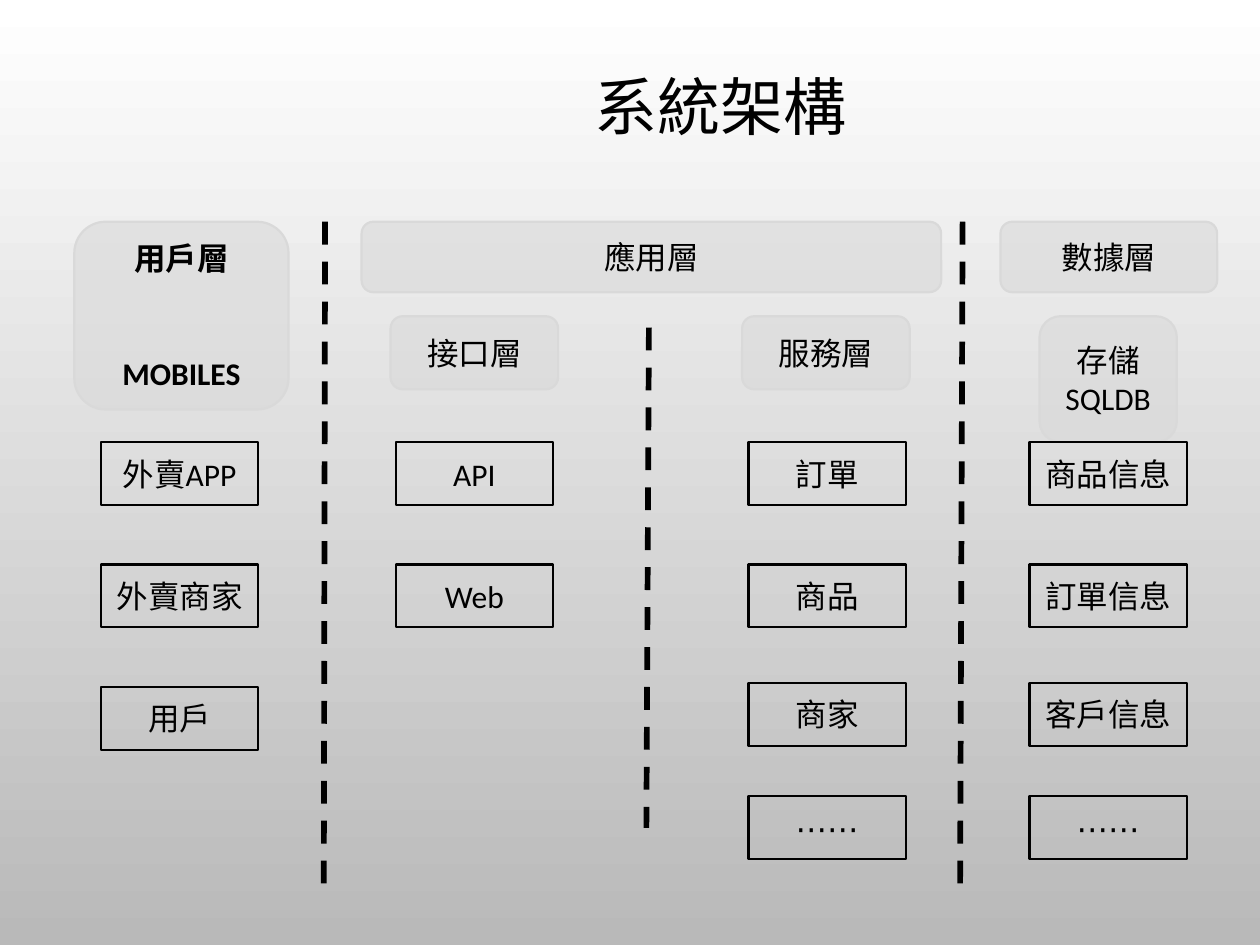
from lxml.etree import SubElement
from pptx import Presentation
from pptx.dml.color import RGBColor as RGB
from pptx.enum.dml import MSO_LINE as Dash
from pptx.enum.shapes import MSO_CONNECTOR as Link, MSO_SHAPE as Form
from pptx.enum.text import MSO_ANCHOR as Anchor, PP_ALIGN as Align
from pptx.oxml.ns import qn
from pptx.util import Inches, Pt

# Content
TITLE = "系統架構"
HEADS = [  # lines, left, top, width, height, bold, gap between lines in points
    (["用戶層", "MOBILES"], 0.59, 1.76, 1.7, 1.49, True, 44),
    (["應用層"], 2.87, 1.76, 4.6, 0.56, False, 0),
    (["接口層"], 3.1, 2.51, 1.33, 0.58, False, 0),
    (["服務層"], 5.89, 2.51, 1.33, 0.58, False, 0),
    (["數據層"], 7.94, 1.76, 1.72, 0.56, False, 0),
    (["存儲", "SQLDB"], 8.25, 2.51, 1.09, 1, False, 0),
]
EVEN = (3.51, 4.48, 5.45)
TIGHT = (3.51, 4.48, 5.42, 6.32)
COLS = [  # left, row tops, items
    (0.8, EVEN, ["外賣APP", "外賣商家", "用戶"]),
    (3.14, EVEN, ["API", "Web"]),
    (5.94, TIGHT, ["訂單", "商品", "商家", "⋯⋯"]),
    (8.17, TIGHT, ["商品信息", "訂單信息", "客戶信息", "⋯⋯"]),
]
RULES = [  # x at top, top, x at bottom, bottom
    (2.58, 1.76, 2.57, 7.1),
    (5.15, 2.6, 5.13, 6.57),
    (7.64, 1.76, 7.62, 7.1),
]
CELL = (1.25, 0.5)

THEME = {
    "font": "Calibri", "title": 36, "body": 18,
    "ink": RGB(0, 0, 0), "head": RGB(0xD9, 0xD9, 0xD9), "alpha": 60,
    "top": RGB(0xFF, 0xFF, 0xFF), "base": RGB(0xB9, 0xB9, 0xB9),
    "edge": 1.25, "rule": 3.25,
}

deck = Presentation()
deck.slide_width, deck.slide_height = Inches(10), Inches(7.5)
slide = deck.slides.add_slide(deck.slide_layouts[6])


def write(shape, lines, size=THEME["body"], bold=False, gap=0):
    frame = shape.text_frame
    frame.word_wrap = True
    frame.vertical_anchor = Anchor.MIDDLE
    frame.text = "\n".join(lines)
    for i, para in enumerate(frame.paragraphs):
        para.alignment = Align.CENTER
        para.space_before = Pt(gap if i else 0)
        font = para.font
        font.name, font.size, font.bold = THEME["font"], Pt(size), bold
        font.color.rgb = THEME["ink"]
    return frame


def box(form, rect, edge):
    shape = slide.shapes.add_shape(form, *map(Inches, rect))
    shape.shadow.inherit = False
    shape.fill.background()
    shape.line.color.rgb = edge
    shape.line.width = Pt(THEME["edge"])
    return shape


# Background
back = slide.background.fill
back.gradient()
back.gradient_angle = 270
for stop, tone in zip(back.gradient_stops, (THEME["top"], THEME["base"])):
    stop.color.rgb = tone

# Title
head = slide.shapes.add_textbox(*map(Inches, (1.47, 0, 8.5, 1.75)))
write(head, [TITLE], THEME["title"]).paragraphs[0].line_spacing = 0.9

# Dashed dividers
for ends in RULES:
    rule = slide.shapes.add_connector(Link.STRAIGHT, *map(Inches, ends))
    rule.line.color.rgb = THEME["ink"]
    rule.line.width = Pt(THEME["rule"])
    rule.line.dash_style = Dash.DASH
    SubElement(rule._element.spPr, qn("a:effectLst"))

# Layer headings
for lines, *rect, bold, gap in HEADS:
    shape = box(Form.ROUNDED_RECTANGLE, rect, THEME["head"])
    shape.fill.solid()
    shape.fill.fore_color.rgb = THEME["head"]
    tone = shape._element.spPr.find(qn("a:solidFill")).find(qn("a:srgbClr"))
    SubElement(tone, qn("a:alpha"), val=str(THEME["alpha"] * 1000))
    write(shape, lines, bold=bold, gap=gap)

# Module boxes
for left, tops, items in COLS:
    for top, item in zip(tops, items):
        write(box(Form.RECTANGLE, (left, top, *CELL), THEME["ink"]), [item])

deck.save("out.pptx")
